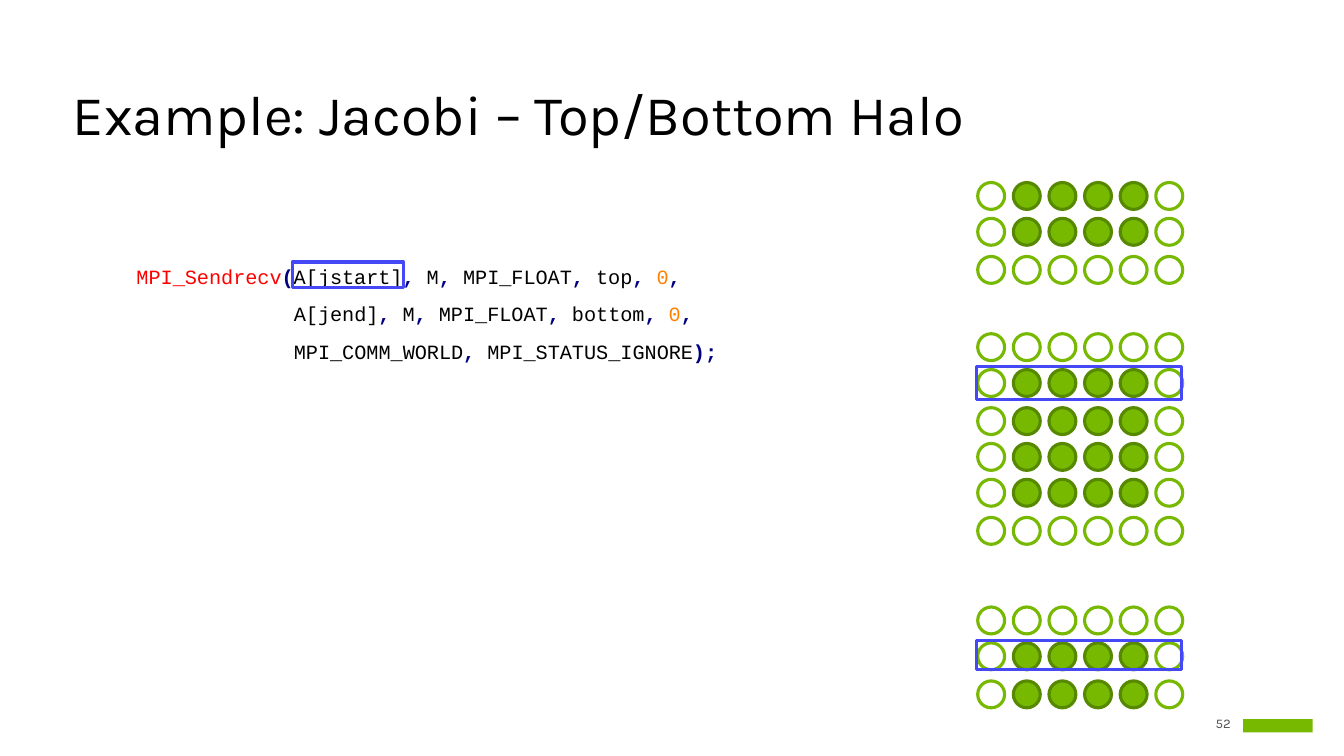
from dataclasses import dataclass
from itertools import groupby

from pptx import Presentation
from pptx.dml.color import RGBColor
from pptx.enum.shapes import MSO_SHAPE as Shape
from pptx.enum.text import MSO_ANCHOR as Anchor, PP_ALIGN as Align
from pptx.util import Inches, Pt


@dataclass(frozen=True)
class Theme:
    white: str = "FFFFFF"
    black: str = "000000"
    gray: str = "505050"
    green: str = "76B900"
    dark_green: str = "578900"
    blue: str = "4549F5"
    navy: str = "000080"
    red: str = "FF0000"
    orange: str = "FF8000"
    heading_font: str = "Karla"
    code_font: str = "Courier New"
    title_size: float = 36
    code_size: float = 13
    number_size: float = 8.5
    line_width: float = 2


THEME = Theme()

CODE = [
    "MPI_Sendrecv(A[jstart], M, MPI_FLOAT, top, 0,",
    "             A[jend], M, MPI_FLOAT, bottom, 0,",
    "             MPI_COMM_WORLD, MPI_STATUS_IGNORE);",
]

# Halo grid: a filled row has interior points between two boundary points
COLUMNS = 6
DOT = 0.24
ROW_PITCH = 0.32
ROW_EXTRA = 0.02  # added before every third row
GRID_LEFT, GRID_WIDTH = 8.73, 1.83
GRIDS = [  # top, whether each row is filled
    (1.63, [True, True, False]),
    (2.98, [False, True, True, True, True, False]),
    (5.42, [False, True, True]),
]
FRAMES = [
    (2.61, 2.34, 0.99, 0.23),  # A[jstart] in the code
    (8.72, 3.27, 1.83, 0.3),  # row sent
    (8.72, 5.72, 1.83, 0.26),  # row of the lower block
]


def style_font(font, name, size, color, bold=False):
    font.name, font.size, font.bold = name, Pt(size), bold
    font.color.rgb = RGBColor.from_string(color)


def add_figure(shapes, kind, box, fill=None, line=None):
    figure = shapes.add_shape(kind, *map(Inches, box))
    figure.shadow.inherit = False
    if fill:
        figure.fill.solid()
        figure.fill.fore_color.rgb = RGBColor.from_string(fill)
    else:
        figure.fill.background()
    if line:
        figure.line.color.rgb = RGBColor.from_string(line)
        figure.line.width = Pt(THEME.line_width)
    else:
        figure.line.fill.background()
    return figure


def add_label(page, box, text, size, color, anchor, align=Align.LEFT):
    frame = page.shapes.add_textbox(*map(Inches, box)).text_frame
    frame.word_wrap = True
    frame.vertical_anchor = anchor
    frame.text = text
    para = frame.paragraphs[0]
    para.alignment = align
    para.line_spacing = 0.9
    style_font(para.runs[0].font, THEME.heading_font, size, color)
    return frame


def token_kind(char):
    if char in "(),;":
        return "mark"
    return "number" if char.isdigit() else "name"


def add_code(page, box):
    panel = add_figure(page.shapes, Shape.RECTANGLE, box, fill=THEME.white)
    frame = panel.text_frame
    frame.word_wrap = True
    frame.vertical_anchor = Anchor.MIDDLE
    frame.margin_top = Inches(0.43)
    colors = {"mark": THEME.navy, "number": THEME.orange, "name": THEME.black}
    for index, line in enumerate(CODE):
        para = frame.add_paragraph() if index else frame.paragraphs[0]
        para.alignment = Align.LEFT
        para.line_spacing = 0.9
        if index:
            para.space_before = Pt(9.9)
        for kind, chars in groupby(line, token_kind):
            span = para.add_run()
            span.text = "".join(chars)
            color = THEME.red if span.text == "MPI_Sendrecv" else colors[kind]
            style_font(span.font, THEME.code_font, THEME.code_size, color, kind == "mark")


def add_grid(page, left, top, width, rows):
    group = page.shapes.add_group_shape()
    pitch = (width - DOT) / (COLUMNS - 1)
    for row, filled in enumerate(rows):
        y = top + row * ROW_PITCH + (row + 1) // 3 * ROW_EXTRA
        for column in range(COLUMNS):
            interior = filled and 0 < column < COLUMNS - 1
            fill, line = (THEME.green, THEME.dark_green) if interior else (THEME.white, THEME.green)
            add_figure(group.shapes, Shape.OVAL, (left + column * pitch, y, DOT, DOT), fill, line)


def add_footer(page, left, top):
    frame = add_label(page, (left, top, 0.31, 0.18), "52", THEME.number_size,
                      THEME.gray, Anchor.MIDDLE, Align.RIGHT)
    frame.margin_left = frame.margin_right = frame.margin_top = frame.margin_bottom = 0
    # Plain bar in the brand corner
    add_figure(page.shapes, Shape.RECTANGLE, (left + 0.42, top + 0.04, 0.62, 0.12), fill=THEME.green)


def main():
    deck = Presentation()
    deck.slide_width, deck.slide_height = Inches(12), Inches(6.75)
    page = deck.slides.add_slide(deck.slide_layouts[6])

    add_footer(page, 10.68, 6.38)
    add_label(page, (0.55, 0.72, 10.91, 0.65), "Example: Jacobi – Top/Bottom Halo",
              THEME.title_size, THEME.black, Anchor.BOTTOM)
    add_code(page, (1.12, 1.37, 9.68, 2.51))
    for top, rows in GRIDS:
        add_grid(page, GRID_LEFT, top, GRID_WIDTH, rows)
    # Frames around the data being exchanged
    for box in FRAMES:
        add_figure(page.shapes, Shape.RECTANGLE, box, line=THEME.blue)
    deck.save("out.pptx")


if __name__ == "__main__":
    main()
